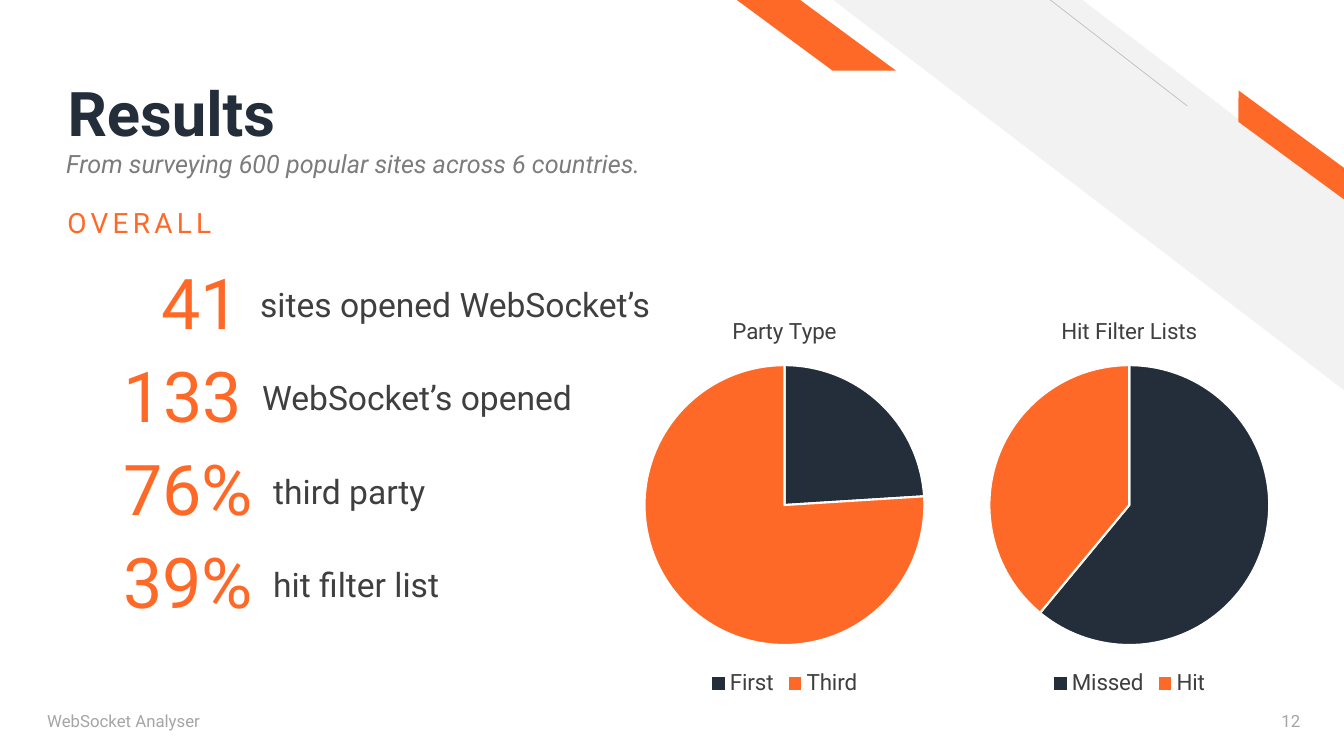
from dataclasses import dataclass

from lxml import etree
from pptx import Presentation
from pptx import util as u
from pptx.chart import data as chart_data
from pptx.dml.color import RGBColor
from pptx.enum import chart as charts
from pptx.enum import shapes, text
from pptx.oxml.ns import qn
from pptx.util import Cm


@dataclass(frozen=True)
class Theme:
    font: str = "Roboto"
    navy: str = "242E3A"
    orange: str = "FF6928"
    band: str = "F2F2F2"
    hairline: str = "BFBFBF"
    body: str = "3F3F3F"
    subtitle: str = "7C7C7C"
    footer: str = "A5A5A5"
    white: str = "FFFFFF"
    title_size: int = 44
    figure_size: int = 50
    label_size: int = 24
    heading_size: int = 20
    subtitle_size: int = 18
    chart_size: int = 16
    footer_size: int = 12


@dataclass(frozen=True)
class Stripe:
    preset: shapes.MSO_SHAPE
    box: tuple[float, float, float, float]
    adjustment: float
    color: str
    rotation: float = 0


@dataclass(frozen=True)
class Caption:
    words: str
    box: tuple[float, float, float, float]
    size: int
    color: str
    italic: bool = False
    tracking: int = 0
    line_spacing: float = 1.0
    anchor: text.MSO_ANCHOR = text.MSO_ANCHOR.TOP
    align: text.PP_ALIGN = text.PP_ALIGN.LEFT


@dataclass(frozen=True)
class Finding:
    figure: str
    label: str
    left: float


@dataclass(frozen=True)
class Pie:
    title: str
    shares: dict[str, int]
    left: float


THEME = Theme()
PARALLELOGRAM = shapes.MSO_SHAPE.PARALLELOGRAM
MIDDLE = text.MSO_ANCHOR.MIDDLE

STRIPES = [
    Stripe(shapes.MSO_SHAPE.DIAGONAL_STRIPE, (21, 0, 12.87, 9.83), 0.512, THEME.band),
    Stripe(PARALLELOGRAM, (30.66, 3.33, 3.76, 0.64), 0.72, THEME.orange, 36.3),
    Stripe(PARALLELOGRAM, (18.57, 0, 4.01, 1.78), 1.356, THEME.orange),
]
CAPTIONS = [
    Caption("From surveying 600 popular sites across 6 countries.", (1.42, 3.71, 20.45, 1.45),
            THEME.subtitle_size, THEME.subtitle, italic=True, line_spacing=0.9),
    Caption("OVERALL", (1.45, 5.16, 20.47, 1.7), THEME.heading_size, THEME.orange,
            tracking=3, line_spacing=0.9),
    Caption("WebSocket Analyser", (0.94, 17.65, 11.43, 1.02), THEME.footer_size,
            THEME.footer, anchor=MIDDLE),
    Caption("12", (30.96, 17.65, 2.06, 1.02), THEME.footer_size, THEME.footer,
            anchor=MIDDLE, align=text.PP_ALIGN.RIGHT),
]
FINDINGS = [
    Finding("41", "sites opened WebSocket’s", 2.26),
    Finding("133", "WebSocket’s opened", 2.31),
    Finding("76%", "third party", 2.59),
    Finding("39%", "hit filter list", 2.59),
]
FINDINGS_TOP, FINDING_HEIGHT = 6.53, 2.35
FIGURE_WIDTH, LABEL_WIDTH = 4.04, 10.62
PIES = [
    Pie("Party Type", {"First": 24, "Third": 76}, 12.19),
    Pie("Hit Filter Lists", {"Missed": 61, "Hit": 39}, 20.88),
]


def rgb(color: str) -> RGBColor:
    return RGBColor.from_string(color)


def style(font, size: int, color: str, bold: bool = False, italic: bool = False) -> None:
    font.name, font.size, font.bold, font.italic = THEME.font, u.Pt(size), bold, italic
    font.color.rgb = rgb(color)


def add_stripe(slide, stripe: Stripe) -> None:
    shape = slide.shapes.add_shape(stripe.preset, *map(Cm, stripe.box))
    shape.adjustments[0] = stripe.adjustment
    shape.rotation = stripe.rotation
    shape._element.spPr.xfrm.set("flipH", "1")
    shape.shadow.inherit = False
    shape.fill.solid()
    shape.fill.fore_color.rgb = rgb(stripe.color)
    shape.line.fill.background()


def add_hairline(slide) -> None:
    hairline = slide.shapes.add_connector(
        shapes.MSO_CONNECTOR.STRAIGHT, Cm(29.92), Cm(2.67), Cm(26.47), Cm(0))
    hairline.line.color.rgb = rgb(THEME.hairline)
    hairline.line.width = u.Pt(0.5)
    etree.SubElement(hairline._element.spPr, qn("a:effectLst"))


def set_title(slide, words: str) -> None:
    title = slide.shapes.title
    title.left, title.top, title.width, title.height = map(Cm, (1.45, 0.58, 23.14, 3.2))
    frame = title.text_frame
    frame.text = words
    frame.auto_size = text.MSO_AUTO_SIZE.NONE
    frame.vertical_anchor = text.MSO_ANCHOR.BOTTOM
    frame.margin_bottom = 0
    paragraph = frame.paragraphs[0]
    paragraph.alignment = text.PP_ALIGN.LEFT
    paragraph.line_spacing = 0.9
    style(paragraph.runs[0].font, THEME.title_size, THEME.navy, bold=True)


def add_caption(slide, caption: Caption) -> None:
    frame = slide.shapes.add_textbox(*map(Cm, caption.box)).text_frame
    frame.word_wrap = True
    frame.vertical_anchor = caption.anchor
    frame.text = caption.words
    paragraph = frame.paragraphs[0]
    paragraph.alignment = caption.align
    paragraph.line_spacing = caption.line_spacing
    run = paragraph.runs[0]
    style(run.font, caption.size, caption.color, italic=caption.italic)
    if caption.tracking:
        run.font._element.set("spc", str(caption.tracking * 100))


def add_finding(slide, finding: Finding, top: float) -> None:
    table = slide.shapes.add_table(1, 2, Cm(finding.left), Cm(top),
                                   Cm(FIGURE_WIDTH + LABEL_WIDTH), Cm(FINDING_HEIGHT)).table
    table.first_row = table.horz_banding = False
    columns = [
        (finding.figure, FIGURE_WIDTH, THEME.figure_size, THEME.orange,
         text.PP_ALIGN.RIGHT, text.MSO_ANCHOR.TOP),
        (finding.label, LABEL_WIDTH, THEME.label_size, THEME.body,
         text.PP_ALIGN.LEFT, MIDDLE),
    ]
    for index, (words, width, size, color, align, anchor) in enumerate(columns):
        table.columns[index].width = Cm(width)
        cell = table.cell(0, index)
        cell.fill.background()
        cell.vertical_anchor = anchor
        cell.text_frame.text = words
        paragraph = cell.text_frame.paragraphs[0]
        paragraph.alignment = align
        style(paragraph.runs[0].font, size, color)


def add_pie(slide, pie: Pie) -> None:
    shares = chart_data.CategoryChartData()
    shares.categories = list(pie.shares)
    shares.add_series(pie.title, list(pie.shares.values()))
    chart = slide.shapes.add_chart(charts.XL_CHART_TYPE.PIE, Cm(pie.left), Cm(7.54),
                                   Cm(15.16), Cm(10.11), shares).chart
    style(chart.font, 10, THEME.body)
    chart.has_title = True
    chart.chart_title.include_in_layout = False
    heading = chart.chart_title.text_frame
    heading.text = pie.title
    style(heading.paragraphs[0].runs[0].font, THEME.chart_size, THEME.body)
    chart.has_legend = True
    chart.legend.position = charts.XL_LEGEND_POSITION.BOTTOM
    chart.legend.include_in_layout = False
    style(chart.legend.font, THEME.chart_size, THEME.body)
    plot = chart.plots[0]
    plot.vary_by_categories = True
    for index, color in enumerate((THEME.navy, THEME.orange)):
        wedge = plot.series[0].points[index].format
        wedge.fill.solid()
        wedge.fill.fore_color.rgb = rgb(color)
        wedge.line.color.rgb = rgb(THEME.white)
        wedge.line.width = u.Pt(1.5)


def main() -> None:
    deck = Presentation()
    deck.slide_width, deck.slide_height = Cm(33.87), Cm(19.05)
    slide = deck.slides.add_slide(deck.slide_layouts.get_by_name("Title Only"))

    # Corner decoration
    for stripe in STRIPES:
        add_stripe(slide, stripe)
    add_hairline(slide)

    # Title, subtitle, heading and footer
    set_title(slide, "Results")
    for caption in CAPTIONS:
        add_caption(slide, caption)

    # Key figures and charts
    for row, finding in enumerate(FINDINGS):
        add_finding(slide, finding, FINDINGS_TOP + row * FINDING_HEIGHT)
    for pie in PIES:
        add_pie(slide, pie)

    deck.save("out.pptx")


if __name__ == "__main__":
    main()
